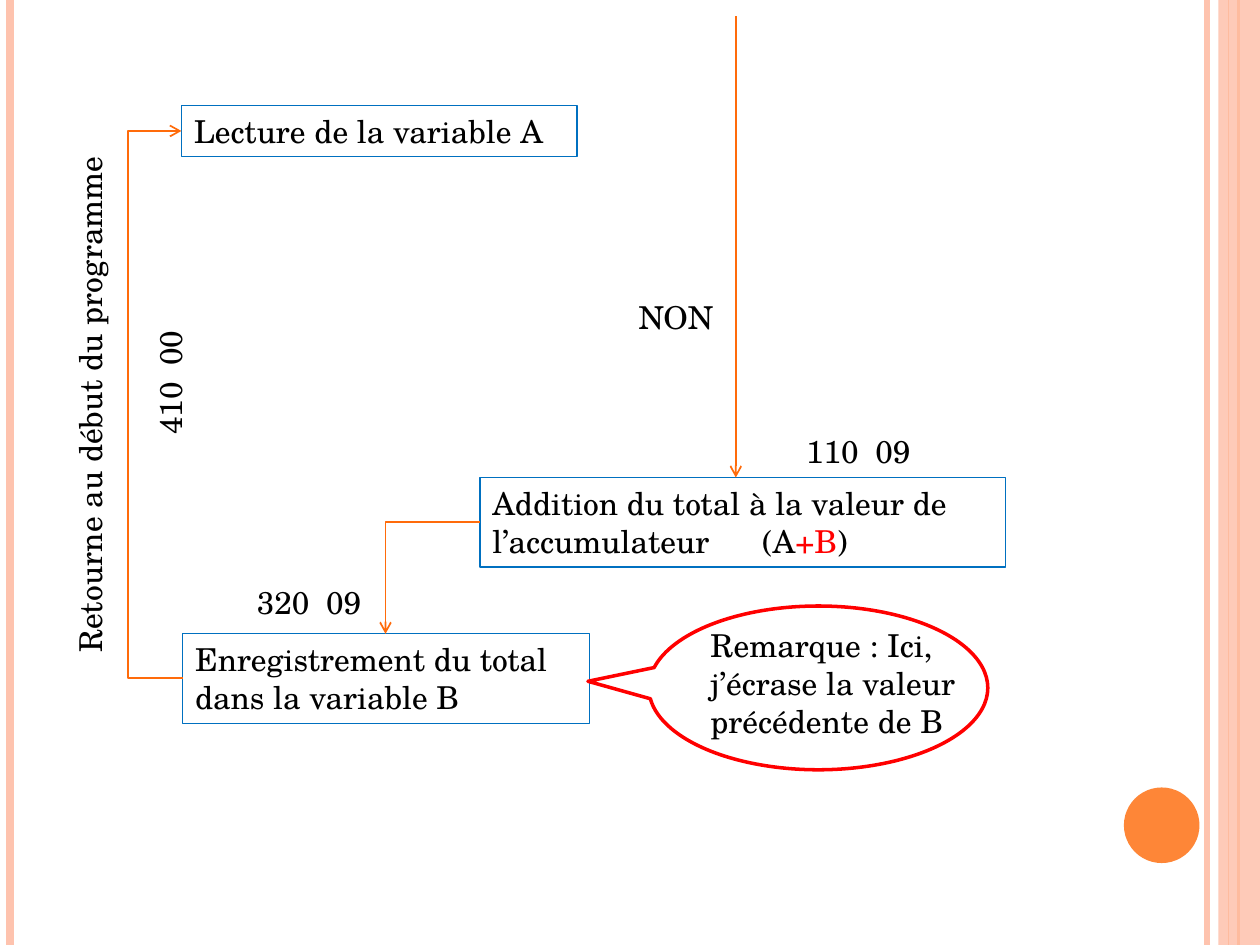
import pptx
import pptx.util
import pptx.dml.color
import pptx.enum.shapes
import pptx.enum.text
import pptx.oxml
import pptx.oxml.ns
import lxml.etree

Inches = pptx.util.Inches
shape_types = pptx.enum.shapes.MSO_SHAPE
connector_types = pptx.enum.shapes.MSO_CONNECTOR
qualified = pptx.oxml.ns.qn
colours = {"salmon": "FEC3AE", "orange": "FE8637", "arrow": "FF6B0A",
           "blue": "0070C0", "red": "FF0000", "black": "000000"}
rgb = {name: pptx.dml.color.RGBColor.from_string(value) for name, value in colours.items()}

presentation = pptx.Presentation()
presentation.slide_width = Inches(10)
presentation.slide_height = Inches(7.5)
slide = presentation.slides.add_slide(presentation.slide_layouts[6])


def add_line(start, end, colour, width, arrow=False, kind=connector_types.STRAIGHT):
    connector = slide.shapes.add_connector(kind, *[Inches(value) for value in start + end])
    connector.line.color.rgb = rgb[colour]
    connector.line.width = pptx.util.Pt(width)
    if arrow:
        tail = lxml.etree.SubElement(connector.line._get_or_add_ln(), qualified("a:tailEnd"))
        tail.set("type", "arrow")
    lxml.etree.SubElement(connector._element.spPr, qualified("a:effectLst"))
    return connector


def write_text(shape, runs, tab_stop=None):
    frame = shape.text_frame
    frame.word_wrap = True
    frame.vertical_anchor = pptx.enum.text.MSO_ANCHOR.TOP
    paragraph = frame.paragraphs[0]
    paragraph.alignment = pptx.enum.text.PP_ALIGN.LEFT
    for words, colour in runs:
        run = paragraph.add_run()
        run.text = words
        run.font.size = pptx.util.Pt(18)
        run.font.name = "TeX Gyre Schola"
        run.font.color.rgb = rgb[colour]
    if tab_stop:
        tab_list = lxml.etree.SubElement(paragraph._p.get_or_add_pPr(), qualified("a:tabLst"))
        tab = lxml.etree.SubElement(tab_list, qualified("a:tab"))
        tab.set("pos", str(Inches(tab_stop)))
        tab.set("algn", "l")


for left, colour, width in [(9.58, "salmon", 3), (0.08, "salmon", 4.5),
                            (9.83, "orange", 1.5), (9.75, "orange", 0.75)]:
    add_line((left, 0), (left, 7.5), colour, width)

for kind, place, colour, opacity in [
        (shape_types.RECTANGLE, (9.67, 0, 0.33, 7.5), "salmon", 87),
        (shape_types.OVAL, (8.92, 6.25, 0.6, 0.6), "orange", 100)]:
    decoration = slide.shapes.add_shape(kind, *[Inches(value) for value in place])
    decoration.shadow.inherit = False
    decoration.fill.solid()
    decoration.fill.fore_color.rgb = rgb[colour]
    decoration.line.fill.background()
    if opacity < 100:
        colour_element = decoration._element.spPr.find(".//" + qualified("a:srgbClr"))
        alpha = lxml.etree.SubElement(colour_element, qualified("a:alpha"))
        alpha.set("val", str(opacity * 1000))

steps = [
    ((1.44, 0.84, 3.14, 0.4), [("Lecture de la variable A", "black")], None),
    ((3.81, 3.79, 4.17, 0.71),
     [("Addition du total à la valeur de l’accumulateur\t(A", "black"),
      ("+B", "red"), (")", "black")], 2.14),
    ((1.45, 5.03, 3.23, 0.71), [("Enregistrement du total dans la variable B", "black")], None),
]
for place, runs, tab_stop in steps:
    box = slide.shapes.add_shape(shape_types.RECTANGLE, *[Inches(value) for value in place])
    box.shadow.inherit = False
    box.fill.background()
    box.line.color.rgb = rgb["blue"]
    box.line.width = pptx.util.Pt(0.75)
    write_text(box, runs, tab_stop)

callout = slide.shapes.add_shape(shape_types.OVAL_CALLOUT, Inches(5.15), Inches(4.81),
                                 Inches(2.69), Inches(1.3))
callout.shadow.inherit = False
callout.adjustments[0] = -0.68
callout.adjustments[1] = -0.04
callout.fill.background()
callout.line.color.rgb = rgb["red"]
callout.line.width = pptx.util.Pt(2)

add_line((5.84, 2.73), (5.84, 0.13), "arrow", 1)
add_line((5.84, 2.73), (5.84, 3.79), "arrow", 1, True)
store_arrow = add_line((3.81, 4.14), (3.06, 5.03), "arrow", 1, True, connector_types.ELBOW)
store_arrow._element.spPr.find(qualified("a:prstGeom")).set("prst", "bentConnector2")
return_arrow = add_line((1.45, 5.38), (1.44, 1.04), "arrow", 1, True, connector_types.ELBOW)
adjustments = return_arrow._element.spPr.find(qualified("a:prstGeom")).get_or_add_avLst()
guide = lxml.etree.SubElement(adjustments, qualified("a:gd"))
guide.set("name", "adj1")
guide.set("fmla", "val 4400000")

labels = [
    ((-1.37, 2.99, 4.17, 0.4), 270, "Retourne au début du programme", None),
    ((5.54, 4.92, 2.56, 1.01), 0, "Remarque : Ici, j’écrase la valeur précédente de B", None),
    ((4.97, 2.32, 0.83, 0.4), 0, "NON", None),
    ((6.3, 3.38, 1.04, 0.4), 0, "110\t09", 0.55),
    ((1.94, 4.58, 1.04, 0.4), 0, "320\t09", 0.55),
    ((0.83, 2.83, 1.04, 0.4), 270, "410\t00", 0.55),
]
for place, rotation, words, tab_stop in labels:
    label = slide.shapes.add_textbox(*[Inches(value) for value in place])
    label.rotation = rotation
    label.text_frame.margin_right = 0
    write_text(label, [(words, "black")], tab_stop)

presentation.save("out.pptx")
